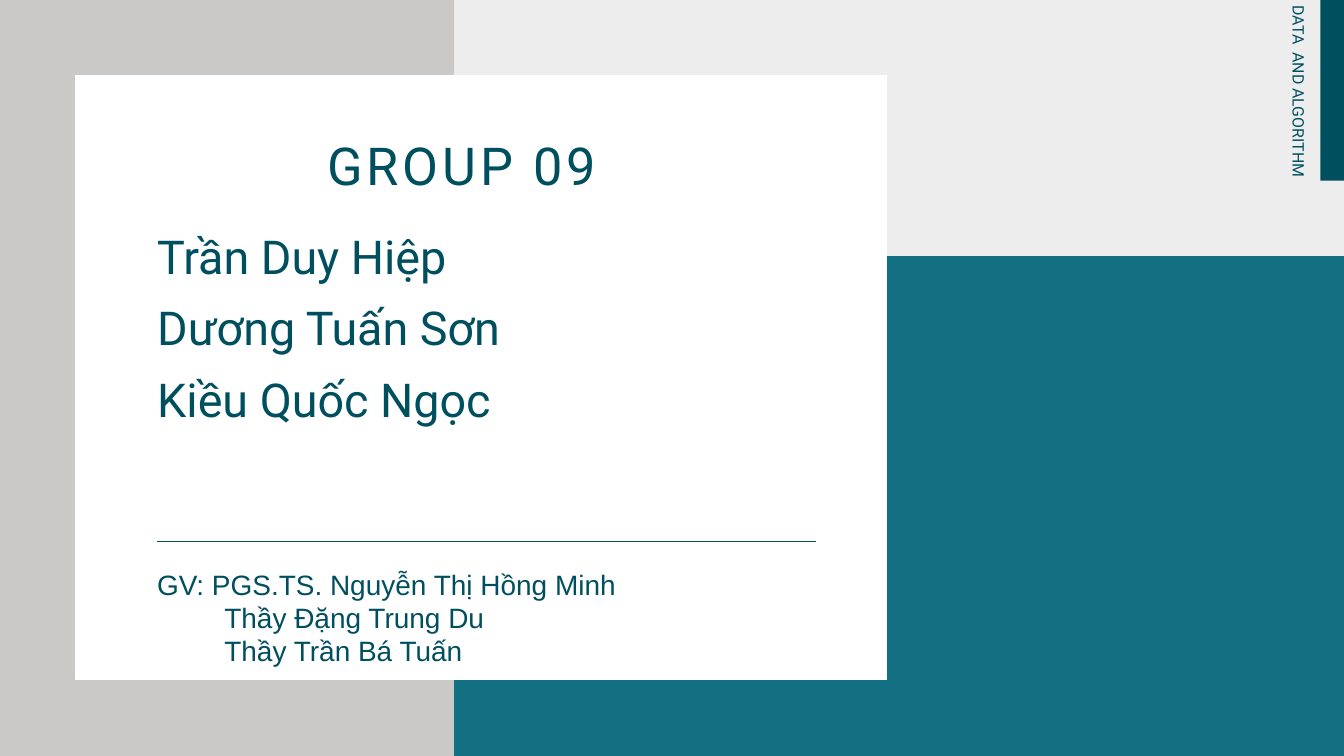
"""Build the group introduction slide with its members and lecturers."""
from lxml.etree import SubElement
from pptx import Presentation
from pptx.dml.color import RGBColor
from pptx.enum.shapes import MSO_CONNECTOR, MSO_SHAPE
from pptx.enum.text import MSO_ANCHOR, MSO_AUTO_SIZE, PP_ALIGN
from pptx.oxml.ns import qn
from pptx.util import Cm, Pt

WIDTH, HEIGHT = 50.8, 28.58
MARGIN = 5.94
PANEL_EDGE = 17.17
TEAL_TOP = 9.68
TAB_LEFT = 49.91
INK = "004F5F"


def color(value):
    return RGBColor.from_string(value)


def write(frame, lines, size, leading, font="Roboto", align=PP_ALIGN.LEFT,
          gap=0, tracking=0, hanging=0):
    frame.margin_left = frame.margin_right = 0
    frame.margin_top = frame.margin_bottom = 0
    frame.word_wrap = True
    frame.auto_size = MSO_AUTO_SIZE.NONE
    frame.vertical_anchor = MSO_ANCHOR.TOP
    for index, line in enumerate(lines):
        paragraph = frame.add_paragraph() if index else frame.paragraphs[0]
        paragraph.alignment = align
        paragraph.line_spacing = Pt(leading)
        paragraph.space_before = Pt(0)
        paragraph.space_after = Pt(gap)
        properties = paragraph._p.get_or_add_pPr()
        properties.set("marL", str(Cm(hanging if index else 0)))
        properties.set("indent", "0")
        SubElement(properties, qn("a:buNone"))
        run = paragraph.add_run()
        run.text = line
        run.font.name = font
        run.font.size = Pt(size)
        run.font.color.rgb = color(INK)
        if tracking:
            run._r.get_or_add_rPr().set("spc", str(tracking * 100))


class Deck:
    def __init__(self):
        self.presentation = Presentation()
        self.presentation.slide_width = Cm(WIDTH)
        self.presentation.slide_height = Cm(HEIGHT)
        self.slide = self.presentation.slides.add_slide(
            self.presentation.slide_layouts[1])
        background = self.slide.background.fill
        background.solid()
        background.fore_color.rgb = color("EDEDED")

    def panel(self, left, top, width, height, fill):
        panel = self.slide.shapes.add_shape(
            MSO_SHAPE.RECTANGLE, Cm(left), Cm(top), Cm(width), Cm(height))
        panel.shadow.inherit = False
        panel.fill.solid()
        panel.fill.fore_color.rgb = color(fill)
        panel.line.fill.background()

    def rule(self, left, right, y):
        rule = self.slide.shapes.add_connector(
            MSO_CONNECTOR.STRAIGHT, Cm(left), Cm(y), Cm(right), Cm(y))
        rule.line.color.rgb = color(INK)
        rule.line.width = Pt(0.75)
        SubElement(rule._element.spPr, qn("a:effectLst"))

    def placeholder(self, index, left, top, width, height, lines, **style):
        holder = self.slide.placeholders[index]
        holder.left, holder.top = Cm(left), Cm(top)
        holder.width, holder.height = Cm(width), Cm(height)
        write(holder.text_frame, lines, **style)
        self.slide.shapes._spTree.append(holder._element)

    def text(self, left, top, width, height, lines, rotation=0, **style):
        box = self.slide.shapes.add_textbox(
            Cm(left), Cm(top), Cm(width), Cm(height))
        box.rotation = rotation
        write(box.text_frame, lines, **style)


def main():
    deck = Deck()
    deck.panel(0, 0, PANEL_EDGE, HEIGHT, "CBC8C8")
    deck.panel(PANEL_EDGE, TEAL_TOP, WIDTH - PANEL_EDGE, HEIGHT - TEAL_TOP, "136F82")
    deck.panel(2.84, 2.84, 30.68, 22.86, "FFFFFF")
    deck.panel(TAB_LEFT, 0, WIDTH - TAB_LEFT, 6.83, INK)
    deck.rule(MARGIN, 30.86, 20.45)
    deck.text(45.19, 3.73, 7.77, 0.74, ["DATA  AND ALGORITHM"],
              rotation=90, size=17, leading=20.1)
    deck.placeholder(0, MARGIN, 4.65, 23.04, 2.59, ["GROUP 09"], size=56,
                     leading=78.4, align=PP_ALIGN.CENTER, tracking=4)
    deck.placeholder(1, MARGIN, 8.64, 25.1, 7.52,
                     ["Trần Duy Hiệp", "Dương Tuấn Sơn", "Kiều Quốc Ngọc"],
                     size=50, leading=59, gap=17.7)
    deck.text(MARGIN, 21.46, 21.64, 4.98,
              ["GV: PGS.TS. Nguyễn Thị Hồng Minh", "Thầy Đặng Trung Du",
               "Thầy Trần Bá Tuấn"],
              size=30, leading=35.4, font="Arial", hanging=2.54)
    deck.presentation.save("out.pptx")


if __name__ == "__main__":
    main()
